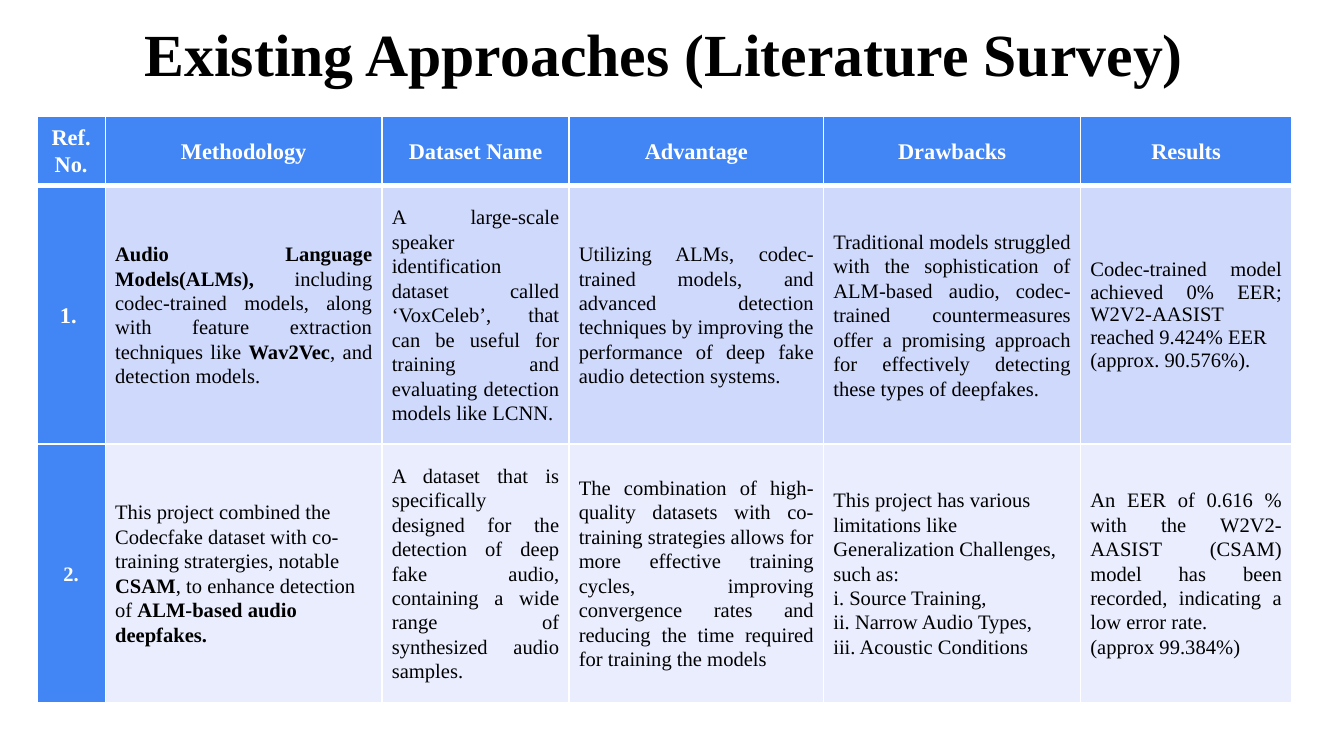
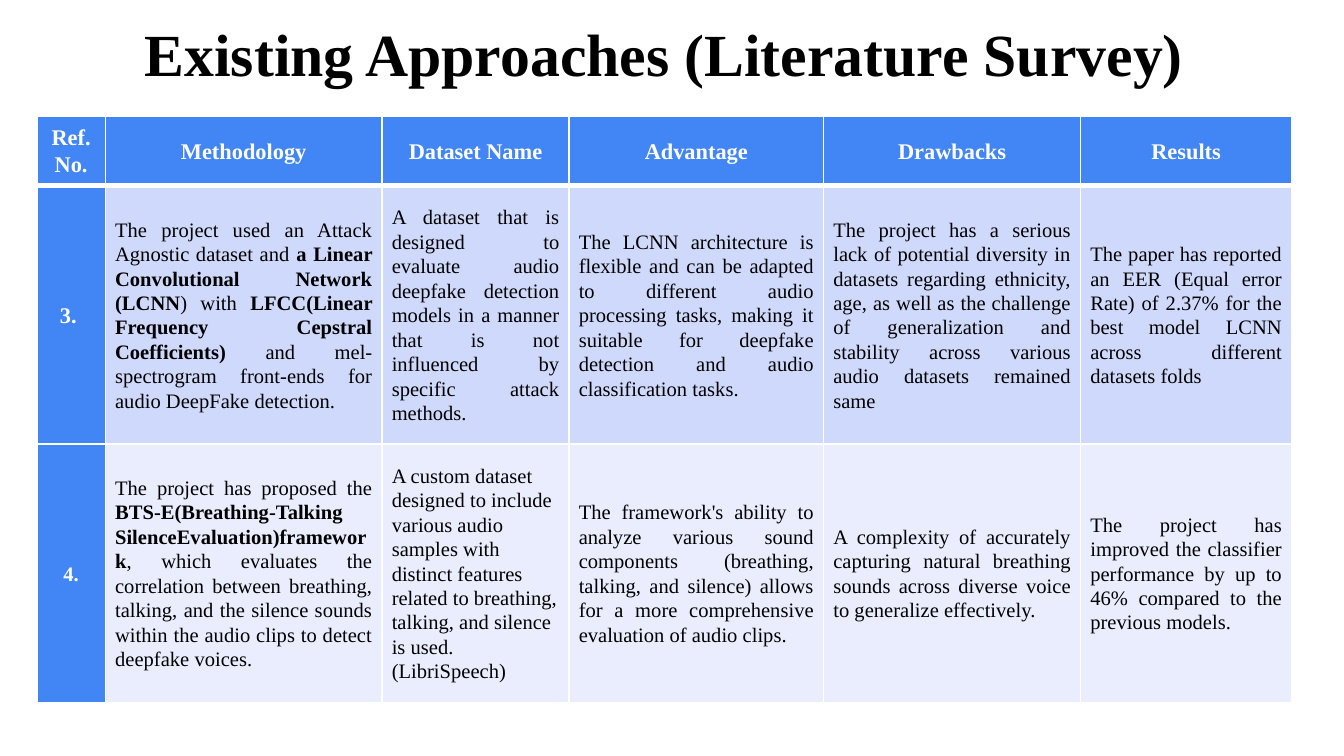
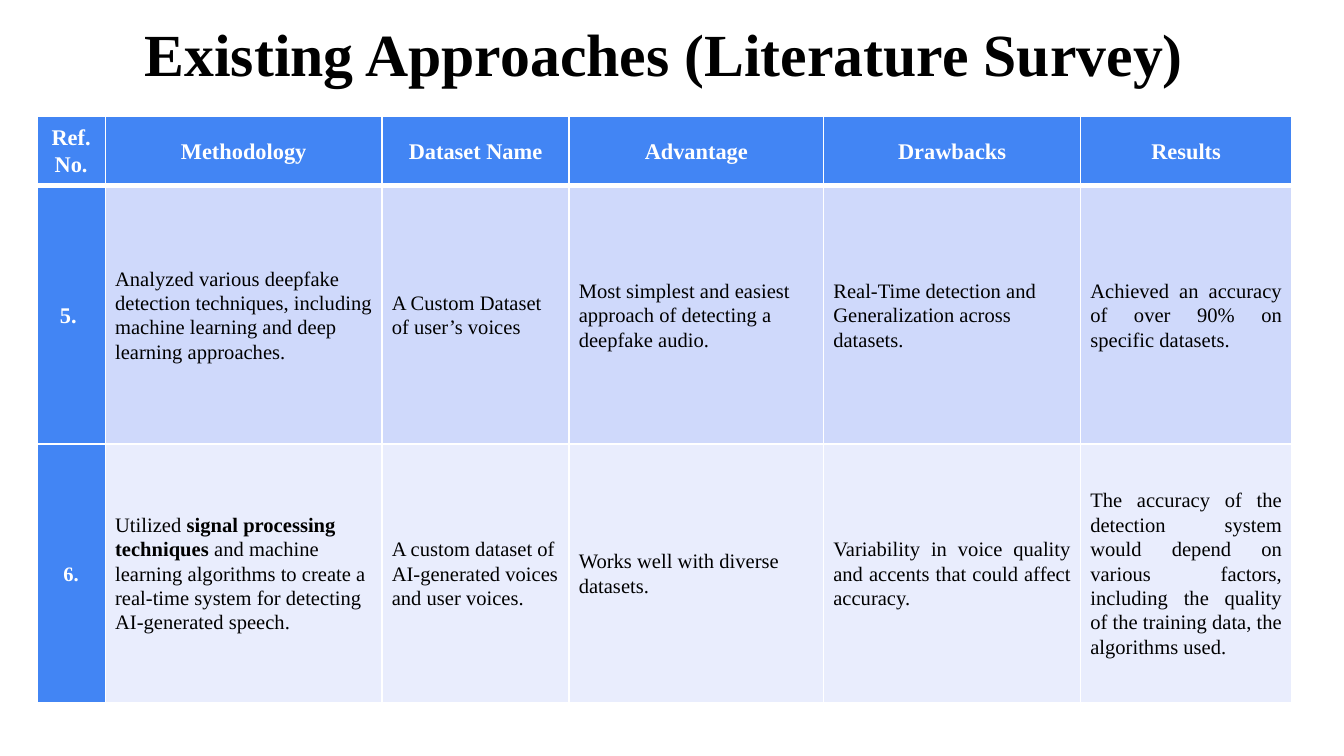
"""Build the literature survey slides."""
from dataclasses import dataclass

from lxml import etree
from pptx import Presentation
from pptx import util as u
from pptx.dml.color import RGBColor
from pptx.enum import text
from pptx.oxml import ns

FONT = "Times New Roman"
WHITE, BLACK, BLUE = "FFFFFF", "000000", "4285F4"
BANDS = ("CFD9FB", "E9EDFD")
NUMBER_SIZES = (12, 11)
LEFT, CENTER, JUSTIFY = text.PP_ALIGN.LEFT, text.PP_ALIGN.CENTER, text.PP_ALIGN.JUSTIFY
TITLE = "Existing Approaches (Literature Survey) "
HEADINGS = ("Ref. No.", "Methodology", "Dataset Name", "Advantage", "Drawbacks", "Results")
COLUMN_WIDTHS = (36.8, 148.2, 100.2, 136.4, 137.7, 113.1)
ROW_HEIGHTS = (37.5, 138.4, 138.4)


@dataclass(frozen=True)
class Entry:
    """Text of one cell, with **bold** parts and one paragraph a line."""

    words: str
    align: text.PP_ALIGN = JUSTIFY
    spacing: float = 1.07


@dataclass(frozen=True)
class Study:
    """One surveyed paper: its number and the five cells beside it."""

    number: str
    entries: tuple[Entry, ...]


SURVEY = (
    (
        Study("1. ", (
            Entry("**Audio Language Models(ALMs), **including codec-trained models, along with "
                  "feature extraction techniques like** Wav2Vec**, and detection models."),
            Entry("A large-scale speaker identification dataset called ‘VoxCeleb’, that can be "
                  "useful for training and evaluating detection models like LCNN."),
            Entry("Utilizing ALMs, codec-trained models, and advanced detection techniques by "
                  "improving the performance of deep fake audio detection systems."),
            Entry("Traditional models struggled with the sophistication of ALM-based audio, "
                  "codec-trained countermeasures offer a promising approach for effectively "
                  "detecting these types of deepfakes."),
            Entry("Codec-trained model achieved 0% EER; W2V2-AASIST reached 9.424% EER\n"
                  "(approx. 90.576%).", spacing=1.0),
        )),
        Study("2.", (
            Entry("This project combined the Codecfake dataset with co-training stratergies, "
                  "notable **CSAM**, to enhance detection of **ALM-based audio deepfakes.**", LEFT),
            Entry("A dataset that is specifically designed for the detection of deep fake audio, "
                  "containing a wide range of synthesized audio samples."),
            Entry("The combination of high-quality datasets with co-training strategies allows "
                  "for more effective training cycles, improving convergence rates and reducing "
                  "the time required for training the models"),
            Entry("This project has various limitations like Generalization Challenges, such as:\n"
                  "i. Source Training,\nii. Narrow Audio Types,\niii. Acoustic Conditions", LEFT),
            Entry("An EER of 0.616 % with the W2V2-AASIST (CSAM) model has been recorded, "
                  "indicating a low error rate.\n(approx 99.384%)"),
        )),
    ),
    (
        Study("3. ", (
            Entry("The project used an Attack Agnostic dataset and** a Linear Convolutional "
                  "Network (LCNN**) with **LFCC(Linear Frequency Cepstral Coefficients) **and "
                  "mel-spectrogram front-ends for audio DeepFake detection."),
            Entry("A dataset that is designed to evaluate audio deepfake detection models in a "
                  "manner that is not influenced by specific attack methods."),
            Entry("The LCNN architecture is flexible and can be adapted to different audio "
                  "processing tasks, making it suitable for deepfake detection and audio "
                  "classification tasks."),
            Entry("The project has a serious lack of potential diversity in datasets regarding "
                  "ethnicity, age, as well as the challenge of generalization and stability "
                  "across various audio datasets remained same"),
            Entry("The paper has reported an EER (Equal error Rate) of 2.37% for the best model "
                  "LCNN across different datasets folds"),
        )),
        Study("4.", (
            Entry("The project has proposed the **BTS-E(Breathing-Talking "
                  "SilenceEvaluation)framework**, which evaluates the correlation between "
                  "breathing, talking, and the silence sounds within the audio clips to detect "
                  "deepfake voices."),
            Entry("A custom dataset designed to include various audio samples with distinct "
                  "features related to breathing, talking, and silence is used. (LibriSpeech)",
                  LEFT),
            Entry("The framework's ability to analyze various sound components (breathing, "
                  "talking, and silence) allows for a more comprehensive evaluation of audio "
                  "clips."),
            Entry("A complexity of accurately capturing natural breathing sounds across diverse "
                  "voice to generalize effectively."),
            Entry("The project has improved the classifier performance by up to 46% compared to "
                  "the previous models."),
        )),
    ),
    (
        Study("5. ", (
            Entry("Analyzed various deepfake detection techniques, including machine learning "
                  "and deep learning approaches.", LEFT),
            Entry("A Custom Dataset of user’s voices", LEFT),
            Entry("Most simplest and easiest approach of detecting a deepfake audio.", LEFT),
            Entry("Real-Time detection and Generalization across datasets.", LEFT),
            Entry("Achieved an accuracy of over 90% on specific datasets."),
        )),
        Study("6.", (
            Entry("Utilized **signal processing techniques **and machine learning algorithms to "
                  "create a real-time system for detecting AI-generated speech.", LEFT),
            Entry("A custom dataset of AI-generated voices and user voices.", LEFT),
            Entry("Works well with diverse datasets.", LEFT),
            Entry("Variability in voice quality and accents that could affect accuracy."),
            Entry("The accuracy of the detection system would depend on various factors, "
                  "including the quality of the training data, the algorithms used. "),
        )),
    ),
)


def color(value: str) -> RGBColor:
    """Turn a hex string into a colour."""
    return RGBColor.from_string(value)


def write(frame, words: str, *, size: float = 11, ink: str = BLACK, bold: bool = False,
          align: text.PP_ALIGN = CENTER, spacing: float = 1.07) -> None:
    """Fill a text frame, one paragraph a line, with ** switching bold on and off."""
    frame.word_wrap = True
    for index, line in enumerate(words.split("\n")):
        para = frame.add_paragraph() if index else frame.paragraphs[0]
        para.alignment, para.line_spacing = align, spacing
        for part, piece in enumerate(line.split("**")):
            if piece:
                span = para.add_run()
                span.text = piece
                span.font.name, span.font.size = FONT, u.Pt(size)
                span.font.bold = bold or part % 2 == 1
                span.font.color.rgb = color(ink)


def add_border(cell, side: str, width: float) -> None:
    """Draw a white line along one side of a cell."""
    properties = cell._tc.get_or_add_tcPr()
    line = etree.SubElement(properties, ns.qn(f"a:ln{side}"), w=str(u.Pt(width)))
    fill = etree.SubElement(line, ns.qn("a:solidFill"))
    etree.SubElement(fill, ns.qn("a:srgbClr"), val=WHITE)


def fill_cell(cell, entry: Entry, fill: str, *, header: bool = False, **style) -> None:
    """Give a cell its borders, fill, margins and text."""
    for side in "LRTB":
        add_border(cell, side, 3 if header and side == "B" else 1)
    cell.fill.solid()
    cell.fill.fore_color.rgb = color(fill)
    cell.margin_left = cell.margin_right = u.Pt(5.2)
    cell.margin_top = cell.margin_bottom = 0
    cell.vertical_anchor = text.MSO_ANCHOR.MIDDLE
    write(cell.text_frame, entry.words, align=entry.align, spacing=entry.spacing, **style)


def add_title(page) -> None:
    """Place and format the shared title."""
    box = page.shapes.title
    box.left, box.top, box.width, box.height = (u.Pt(n) for n in (0, -0.7, 720, 62.6))
    frame = box.text_frame
    frame.auto_size = text.MSO_AUTO_SIZE.NONE
    frame.vertical_anchor = text.MSO_ANCHOR.MIDDLE
    frame.margin_left = frame.margin_right = u.Pt(7.2)
    frame.margin_top = frame.margin_bottom = u.Pt(7.2)
    write(frame, TITLE, size=32, bold=True, spacing=0.9)


def add_survey_table(page, studies: tuple[Study, ...]) -> None:
    """Draw the heading row and one row for each study."""
    table = page.shapes.add_table(
        len(ROW_HEIGHTS), len(COLUMN_WIDTHS), u.Pt(19.7), u.Pt(62.1),
        u.Pt(sum(COLUMN_WIDTHS)), u.Pt(sum(ROW_HEIGHTS))).table
    table.first_row = table.horz_banding = False
    for column, width in zip(table.columns, COLUMN_WIDTHS):
        column.width = u.Pt(width)
    for row, height in zip(table.rows, ROW_HEIGHTS):
        row.height = u.Pt(height)
    for index, heading in enumerate(HEADINGS):
        fill_cell(table.cell(0, index), Entry(heading, CENTER), BLUE,
                  header=True, size=12, ink=WHITE, bold=True)
    for row, (study, band, size) in enumerate(zip(studies, BANDS, NUMBER_SIZES), 1):
        fill_cell(table.cell(row, 0), Entry(study.number, CENTER), BLUE,
                  size=size, ink=WHITE, bold=True)
        for column, entry in enumerate(study.entries, 1):
            fill_cell(table.cell(row, column), entry, band)


def main() -> None:
    """Build and save the deck."""
    deck = Presentation()
    deck.slide_width, deck.slide_height = u.Pt(720), u.Pt(405)
    for studies in SURVEY:
        page = deck.slides.add_slide(deck.slide_layouts.get_by_name("Title Only"))
        add_title(page)
        add_survey_table(page, studies)
    deck.save("out.pptx")


if __name__ == "__main__":
    main()
